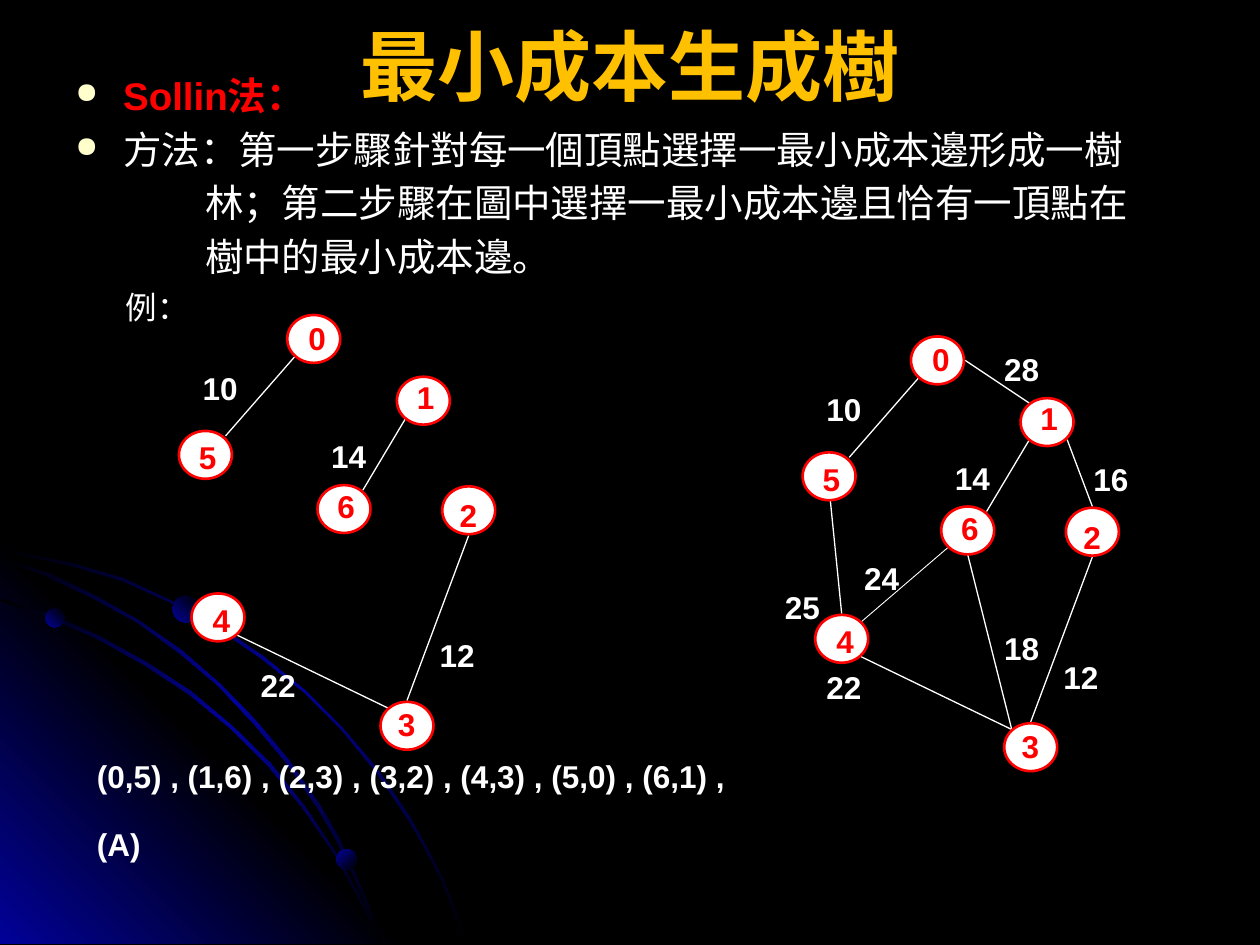
from dataclasses import dataclass

from lxml.etree import SubElement
from pptx import Presentation
from pptx.dml.color import RGBColor
from pptx.enum.shapes import MSO_CONNECTOR, MSO_SHAPE
from pptx.enum.text import MSO_ANCHOR, PP_ALIGN
from pptx.oxml.ns import qn
from pptx.util import Inches, Pt

COLORS = {"black": "000000", "blue": "010199", "white": "FFFFFF",
          "red": "FF0000", "gold": "FFC000", "cream": "FFFFCC"}
FONT = "Arial"
NODE_W, NODE_H = 0.42, 0.38


@dataclass(frozen=True)
class Node:
    name: str
    x: float
    y: float
    label_x: float
    label_y: float


@dataclass(frozen=True)
class Edge:
    x1: float
    y1: float
    x2: float
    y2: float
    cost: str
    label_x: float
    label_y: float
    width: float = 0.75


@dataclass(frozen=True)
class Orb:
    x: float
    y: float
    size: float
    angle: int


NODES = [
    Node("0", 2.28, 2.5, 2.35, 2.48),
    Node("1", 3.15, 2.99, 3.21, 2.95),
    Node("2", 3.51, 3.86, 3.55, 3.89),
    Node("3", 3.02, 5.57, 3.06, 5.55),
    Node("4", 1.52, 4.71, 1.59, 4.72),
    Node("5", 1.42, 3.42, 1.48, 3.43),
    Node("6", 2.52, 3.85, 2.58, 3.82),
]
SHARED_EDGES = [
    Edge(2.34, 2.83, 1.79, 3.46, "10", 1.51, 2.88),
    Edge(3.72, 4.25, 3.23, 5.56, "12", 3.39, 5.0),
    Edge(3.22, 3.32, 2.88, 3.89, "14", 2.53, 3.42),
]
FOREST_EDGES = SHARED_EDGES + [Edge(1.88, 5.04, 3.08, 5.62, "22", 1.97, 5.24)]
GRAPH_EDGES = SHARED_EDGES + [
    Edge(1.88, 5.04, 3.08, 5.62, "22", 1.51, 5.08),
    Edge(2.71, 2.69, 3.22, 3.03, "28", 2.92, 2.56),
    Edge(1.64, 3.8, 1.73, 4.7, "25", 1.18, 4.45),
    Edge(2.73, 4.23, 3.08, 5.62, "18", 2.92, 4.77),
    Edge(3.52, 3.32, 3.72, 3.85, "16", 3.63, 3.43),
    Edge(2.58, 4.17, 1.88, 4.77, "24", 1.81, 4.22, 0.5),
]
OUTER_ARC = [
    (0.57, 4.47), (0.28, 4.41), (0, 4.35), (0, 4.38), (0.28, 4.43), (0.56, 4.49),
    (0.97, 4.61), (1.35, 4.78), (1.73, 4.99), (2.08, 5.23), (2.41, 5.49),
    (2.71, 5.79), (2.98, 6.12), (3.23, 6.49), (3.37, 6.73), (3.5, 6.98),
    (3.6, 7.23), (3.7, 7.49), (3.72, 7.49), (3.62, 7.23), (3.52, 6.98),
    (3.39, 6.73), (3.25, 6.48), (3, 6.11), (2.72, 5.78), (2.42, 5.48),
    (2.09, 5.21), (1.74, 4.97), (1.36, 4.77), (0.98, 4.59)]
CORNER = [(3.22, 7.49), (0, 7.49), (0, 4.27)]
INNER_ARC = [
    (2.85, 7.14), (2.94, 7.32), (3.01, 7.49), (3.03, 7.49), (2.96, 7.3),
    (2.86, 7.12), (2.66, 6.76), (2.42, 6.4), (2.15, 6.06), (1.84, 5.76),
    (1.52, 5.49), (1.17, 5.26), (0.79, 5.05), (0.41, 4.88), (0, 4.75),
    (0, 4.77), (0.39, 4.9), (0.77, 5.07), (1.15, 5.28), (1.5, 5.51),
    (1.83, 5.78), (2.13, 6.08), (2.4, 6.41), (2.65, 6.77)]
MIDDLE_ARC = [
    (0, 4.42), (0, 4.44), (0.36, 4.57), (0.74, 4.75), (1.09, 4.94), (1.42, 5.18),
    (1.73, 5.44), (2.02, 5.75), (2.27, 6.05), (2.52, 6.41), (2.67, 6.67),
    (2.8, 6.94), (2.92, 7.22), (3.01, 7.49), (3.03, 7.49), (2.94, 7.2),
    (2.82, 6.93), (2.69, 6.65), (2.54, 6.39), (2.29, 6.03), (2.04, 5.73),
    (1.75, 5.43), (1.44, 5.16), (1.11, 4.93), (0.76, 4.73), (0.39, 4.55)]
ORBS = [Orb(0.36, 4.83, 0.15, 315), Orb(2.67, 6.74, 0.16, 45), Orb(1.37, 4.73, 0.21, 315)]


def rgb(name: str) -> RGBColor:
    return RGBColor.from_string(COLORS[name])


def set_gradient(sp, names: list[str], angle: int) -> None:
    sp.shadow.inherit = False
    sp.line.fill.background()
    sp.fill.gradient()
    grad = sp._element.spPr.find(qn("a:gradFill"))
    stops = grad.find(qn("a:gsLst"))
    for stop in list(stops):
        stops.remove(stop)
    for i, name in enumerate(names):
        stop = SubElement(stops, qn("a:gs"), pos=str(100000 * i // (len(names) - 1)))
        SubElement(stop, qn("a:srgbClr"), val=COLORS[name])
    grad.find(qn("a:lin")).set("ang", str(angle * 60000))


def add_outline(s, points: list[tuple], names: list[str], angle: int) -> None:
    corners = [(Inches(x), Inches(y)) for x, y in points]
    builder = s.shapes.build_freeform(*corners[0])
    builder.add_line_segments(corners[1:], close=True)
    set_gradient(builder.convert_to_shape(), names, angle)


def format_run(r, size: float, color: str, bold: bool) -> None:
    r.font.name = FONT
    r.font.size = Pt(size)
    r.font.bold = bold
    r.font.color.rgb = rgb(color)


def add_label(s, text: str, x: float, y: float, w: float,
              color: str = "white", bold: bool = True) -> None:
    tf = s.shapes.add_textbox(Inches(x), Inches(y), Inches(w), Inches(0.4)).text_frame
    tf.word_wrap = False
    tf.text = text
    format_run(tf.paragraphs[0].runs[0], 18, color, bold)


def add_ellipse(s, x: float, y: float, w: float, h: float):
    return s.shapes.add_shape(MSO_SHAPE.OVAL, Inches(x), Inches(y), Inches(w), Inches(h))


def add_graph(s, edges: list[Edge], dx: float, dy: float) -> None:
    for e in edges:
        line = s.shapes.add_connector(
            MSO_CONNECTOR.STRAIGHT, Inches(e.x1 + dx), Inches(e.y1 + dy),
            Inches(e.x2 + dx), Inches(e.y2 + dy))
        line.line.color.rgb = rgb("white")
        line.line.width = Pt(e.width)
        SubElement(line._element.spPr, qn("a:effectLst"))
        add_label(s, e.cost, e.label_x + dx, e.label_y + dy, 0.48)
    for n in NODES:
        sp = add_ellipse(s, n.x + dx, n.y + dy, NODE_W, NODE_H)
        sp.shadow.inherit = False
        sp.fill.solid()
        sp.fill.fore_color.rgb = rgb("white")
        sp.line.color.rgb = rgb("red")
        sp.line.width = Pt(1.5)
        add_label(s, n.name, n.label_x + dx, n.label_y + dy, 0.34, "red")


def add_body(s) -> None:
    tf = s.shapes.add_textbox(Inches(0.5), Inches(0.52), Inches(9), Inches(1.81)).text_frame
    tf.word_wrap = True
    tf.text = "\n".join([
        "Sollin法：",
        "方法：第一步驟針對每一個頂點選擇一最小成本邊形成一樹",
        "林；第二步驟在圖中選擇一最小成本邊且恰有一頂點在",
        "樹中的最小成本邊。"])
    for i, p in enumerate(tf.paragraphs):
        heading, bulleted = i == 0, i < 2
        p.space_before = Pt(4.4)
        format_run(p.runs[0], 22, "red" if heading else "white", heading)
        pPr = p._p.get_or_add_pPr()
        pPr.set("marL", str(Inches(0.38 if bulleted else 1.03)))
        pPr.set("indent", str(Inches(-0.38 if bulleted else 0)))
        if bulleted:
            color = SubElement(pPr, qn("a:buClr"))
            SubElement(color, qn("a:srgbClr"), val=COLORS["cream"])
            SubElement(pPr, qn("a:buSzPct"), val="75000")
            SubElement(pPr, qn("a:buChar"), char="●")


prs = Presentation()
prs.slide_width, prs.slide_height = Inches(10), Inches(7.5)
s = prs.slides.add_slide(prs.slide_layouts[5])
s.background.fill.solid()
s.background.fill.fore_color.rgb = rgb("black")

add_outline(s, OUTER_ARC, ["black", "blue", "black"], 45)
add_outline(s, CORNER, ["blue", "black", "blue"], 315)
for arc in (INNER_ARC, MIDDLE_ARC):
    add_outline(s, arc, ["black", "blue", "black"], 45)
for orb in ORBS:
    set_gradient(add_ellipse(s, orb.x, orb.y, orb.size, orb.size), ["blue", "black"], orb.angle)

add_body(s)
add_label(s, "例：", 0.9, 2.24, 0.79, bold=False)
add_graph(s, FOREST_EDGES, 0, 0)
add_graph(s, GRAPH_EDGES, 4.95, 0.17)
add_label(s, "(0,5) , (1,6) , (2,3) , (3,2) , (4,3) , (5,0) , (6,1) ,", 0.67, 5.96, 5.28)
add_label(s, "(A)", 0.67, 6.5, 0.55)

title = s.shapes.title
title.left, title.top = Inches(0.5), Inches(-0.11)
title.width, title.height = Inches(9), Inches(1.25)
tf = title.text_frame
tf.text = "最小成本生成樹"
tf.vertical_anchor = MSO_ANCHOR.MIDDLE
tf.paragraphs[0].alignment = PP_ALIGN.CENTER
format_run(tf.paragraphs[0].runs[0], 44, "gold", True)

prs.save("out.pptx")
